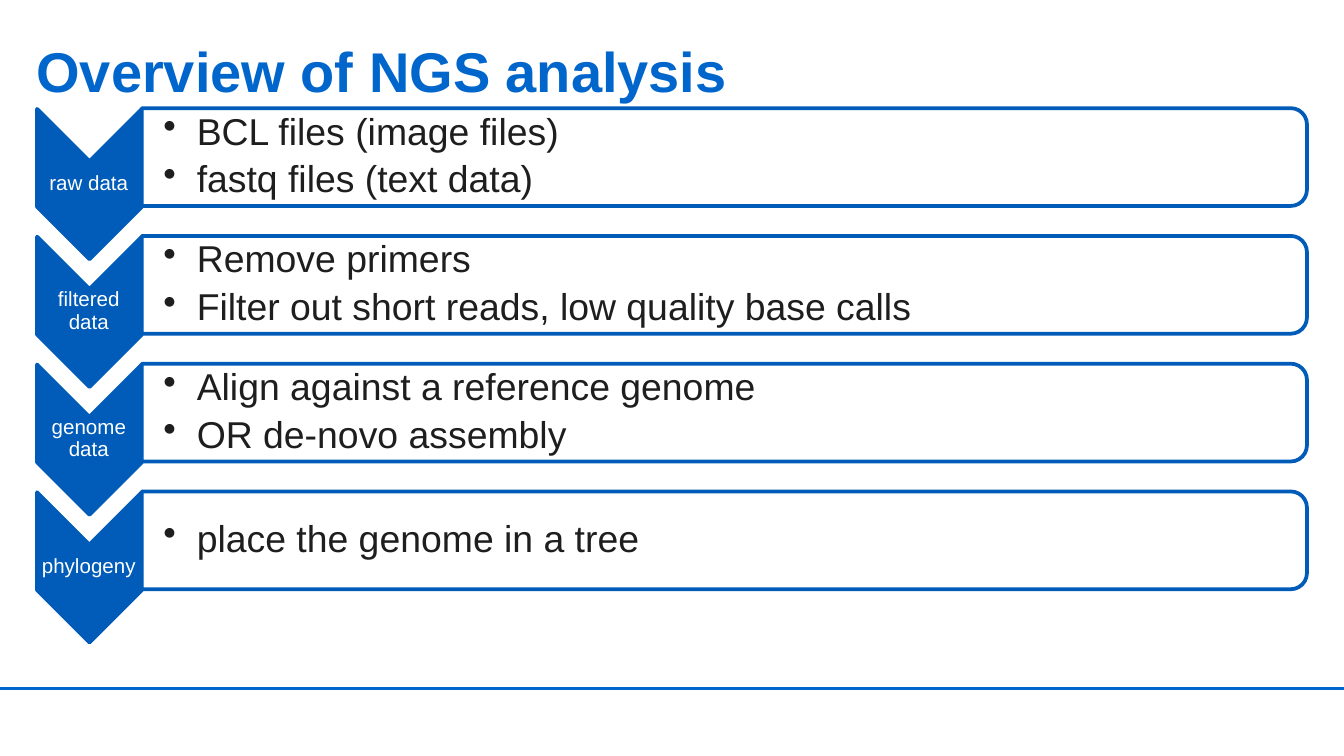
import dataclasses

import pptx
import pptx.dml.color
import pptx.enum.shapes
import pptx.enum.text
import pptx.oxml.ns
import pptx.util
from lxml import etree

Cm = pptx.util.Cm
Pt = pptx.util.Pt
Shape = pptx.enum.shapes.MSO_SHAPE
Align = pptx.enum.text.PP_ALIGN
Anchor = pptx.enum.text.MSO_ANCHOR
qn = pptx.oxml.ns.qn


@dataclasses.dataclass(frozen=True)
class Theme:
    font: str = "Arial"
    title: str = "0066CC"
    fill: str = "005CB8"
    paper: str = "FFFFFF"
    ink: str = "1E1E1E"
    head: int = 30
    body: int = 20
    label: int = 11


THEME = Theme()
STEP = 2.415
STAGES = [
    ("raw data", ["BCL files (image files)", "fastq files (text data)"]),
    ("filtered data",
     ["Remove primers", "Filter out short reads, low quality base calls"]),
    ("genome data",
     ["Align against a reference genome", "OR de-novo assembly"]),
    ("phylogeny", ["place the genome in a tree"]),
]


def rgb(code):
    return pptx.dml.color.RGBColor.from_string(code)


def add_mark(para, indent):
    """Give a paragraph a bullet with a hanging indent in cm."""
    props = para._p.get_or_add_pPr()
    props.set("marL", str(Cm(indent)))
    props.set("indent", str(-Cm(indent)))
    etree.SubElement(props, qn("a:buChar")).set("char", "•")


def add_text(slide, lines, box, *, size, color, bold=False, align=Align.LEFT,
             anchor=Anchor.MIDDLE, inset=(0.03, 0.03, 0.03, 0.03),
             pitch=1.0, after=0, indent=0):
    """Write lines in a box; box and inset are in cm, inset from the left."""
    frame = slide.shapes.add_textbox(*map(Cm, box)).text_frame
    frame.word_wrap = True
    frame.vertical_anchor = anchor
    (frame.margin_left, frame.margin_top,
     frame.margin_right, frame.margin_bottom) = map(Cm, inset)
    for i, line in enumerate(lines):
        para = frame.add_paragraph() if i else frame.paragraphs[0]
        para.alignment = align
        para.line_spacing = pitch
        para.space_after = Pt(after)
        if indent:
            add_mark(para, indent)
        run = para.add_run()
        run.text = line
        run.font.name = THEME.font
        run.font.size = Pt(size)
        run.font.bold = bold
        run.font.color.rgb = rgb(color)


def add_turned(slide, kind, mid, size, fill, alpha=None):
    """Add a shape turned 90 degrees about its middle, in cm."""
    (x, y), (w, h) = mid, size
    shape = slide.shapes.add_shape(
        kind, Cm(x - w / 2), Cm(y - h / 2), Cm(w), Cm(h))
    shape.rotation = 90
    shape.shadow.inherit = False
    shape.fill.solid()
    shape.fill.fore_color.rgb = rgb(fill)
    shape.line.color.rgb = rgb(THEME.fill)
    shape.line.width = Pt(2)
    if alpha:
        tint = shape._element.spPr.find(qn("a:solidFill"))[0]
        etree.SubElement(tint, qn("a:alpha")).set("val", str(alpha * 1000))


def add_rule(slide, y):
    rule = slide.shapes.add_connector(
        pptx.enum.shapes.MSO_CONNECTOR.STRAIGHT,
        Cm(-0.1), Cm(y), Cm(25.78), Cm(y))
    rule.line.color.rgb = rgb(THEME.title)
    rule.line.width = Pt(1.5)
    etree.SubElement(rule._element.spPr, qn("a:effectLst"))


def add_stage(slide, drop, label, points):
    add_turned(slide, Shape.CHEVRON, (1.69, 3.48 + drop), (2.84, 1.98),
               THEME.fill)
    add_text(slide, [label], (0.69, 3.05 + drop, 1.98, 0.84),
             size=THEME.label, color=THEME.paper, align=Align.CENTER,
             pitch=0.9, after=4)
    add_turned(slide, Shape.ROUND_2_SAME_RECTANGLE, (13.69, 2.97 + drop),
               (1.85, 22.02), THEME.paper, alpha=90)
    add_text(slide, points, (2.69, 2.14 + drop, 21.92, 1.65),
             size=THEME.body, color=THEME.ink, inset=(0.4, 0.03, 0.03, 0.03),
             pitch=0.9, after=4, indent=0.63)


def main():
    deck = pptx.Presentation()
    deck.slide_width, deck.slide_height = Cm(25.4), Cm(14.29)
    slide = deck.slides.add_slide(deck.slide_layouts[6])
    add_rule(slide, 13.01)
    add_text(slide, ["Overview of NGS analysis"], (0.69, 0.58, 24, 1.17),
             size=THEME.head, color=THEME.title, bold=True,
             anchor=Anchor.TOP, inset=(0, 0.11, 0, 0))
    for i, (label, points) in enumerate(STAGES):
        add_stage(slide, i * STEP, label, points)
    deck.save("out.pptx")


if __name__ == "__main__":
    main()
